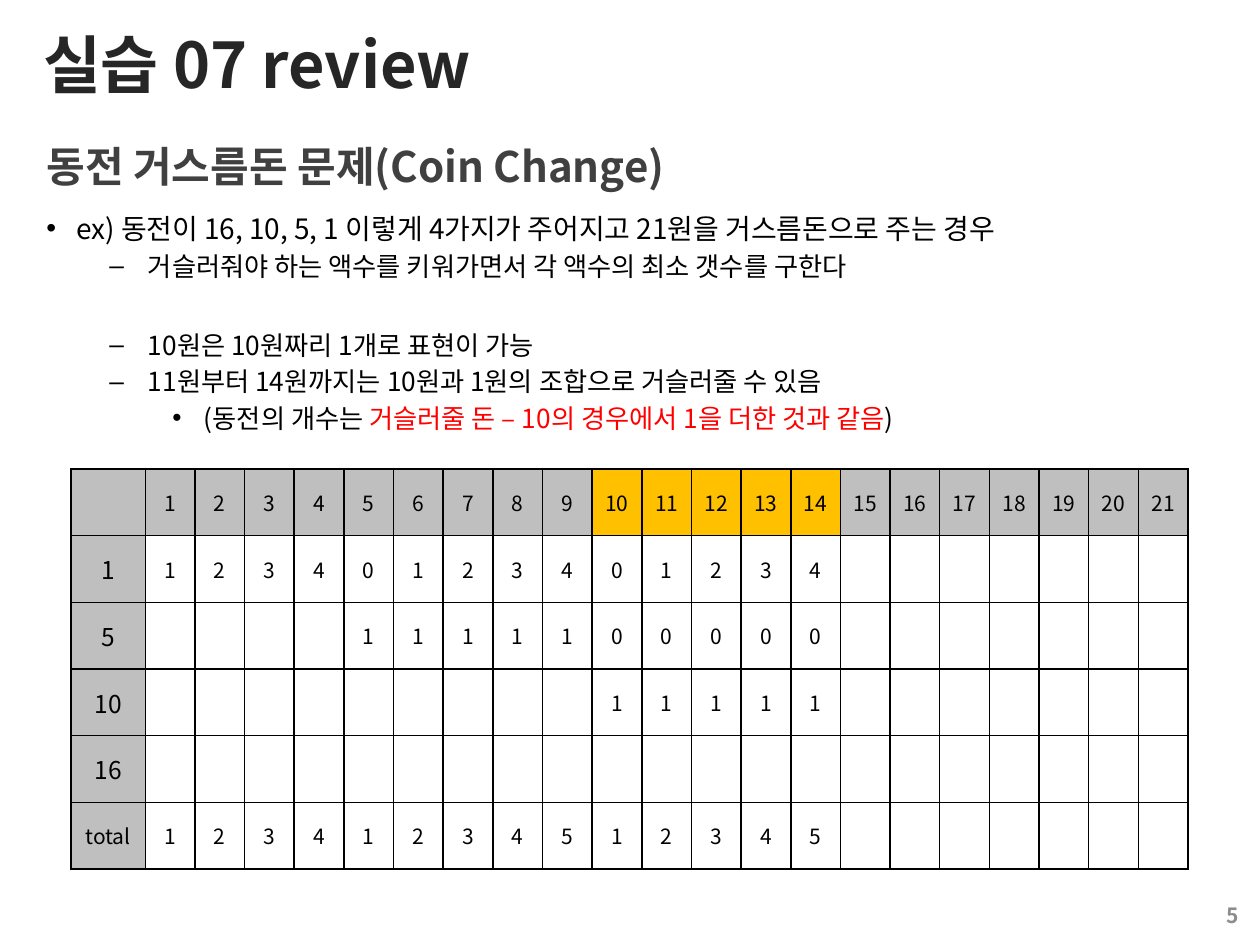
from lxml import etree
from pptx import Presentation
from pptx.dml.color import RGBColor
from pptx.enum.text import MSO_ANCHOR, PP_ALIGN
from pptx.oxml.ns import qn
from pptx.util import Pt

MIDDLE = MSO_ANCHOR.MIDDLE
TOP = MSO_ANCHOR.TOP
LEFT = PP_ALIGN.LEFT
CENTER = PP_ALIGN.CENTER
RIGHT = PP_ALIGN.RIGHT
BLANK_LAYOUT = 6
FONT = "Noto Sans CJK KR"
COLORS = {
    "title": "262626",
    "subtitle": "404040",
    "text": "000000",
    "accent": "FF0000",
    "number": "8C8C8C",
    "header": "BFBFBF",
    "current": "FFC000",
    "cell": "FFFFFF",
    "border": "000000",
}
LEVELS = [
    {"bullet": "•", "left": 17, "hanging": 17, "size": 16},
    {"bullet": "–", "left": 58, "hanging": 22, "size": 15},
    {"bullet": "•", "left": 90, "hanging": 18, "size": 15},
]
BULLETS = [
    (0, 0, [("ex) 동전이 16, 10, 5, 1 이렇게 4가지가 주어지고 21원을 거스름돈으로 주는 경우", "text")]),
    (1, 3, [("거슬러줘야 하는 액수를 키워가면서 각 액수의 최소 갯수를 구한다", "text")]),
    (1, 27, [("10원은 10원짜리 1개로 표현이 가능", "text")]),
    (1, 3, [("11원부터 14원까지는 10원과 1원의 조합으로 거슬러줄 수 있음", "text")]),
    (2, 3, [
        ("(동전의 개수는 ", "text"),
        ("거슬러줄 돈 – 10의 경우에서 1을 더한 것과 같음", "accent"),
        (")", "text"),
    ]),
]
AMOUNTS = range(1, 22)
SOLVED = 14
CURRENT = range(10, 15)
COINS = [1, 5, 10, 16]


def format_run(run, size, color, bold=False):
    run.font.size = Pt(size)
    run.font.name = FONT
    run.font.bold = bold
    run.font.color.rgb = RGBColor.from_string(COLORS[color])
    east_asian = etree.SubElement(run.font._element, qn("a:ea"))
    east_asian.set("typeface", FONT)


def add_text_frame(slide, left, top, width, height, anchor):
    shape = slide.shapes.add_textbox(Pt(left), Pt(top), Pt(width), Pt(height))
    text_frame = shape.text_frame
    text_frame.word_wrap = True
    text_frame.vertical_anchor = anchor
    return text_frame


def add_bold_line(slide, text, bounds, size, color, alignment=LEFT):
    text_frame = add_text_frame(slide, *bounds, MIDDLE)
    text_frame.text = text
    paragraph = text_frame.paragraphs[0]
    paragraph.alignment = alignment
    format_run(paragraph.runs[0], size, color, bold=True)


def set_bullet(paragraph, level):
    style = LEVELS[level]
    paragraph.level = level
    properties = paragraph._p.get_or_add_pPr()
    properties.set("marL", str(Pt(style["left"])))
    properties.set("indent", str(-Pt(style["hanging"])))
    etree.SubElement(properties, qn("a:buFont")).set("typeface", "Arial")
    etree.SubElement(properties, qn("a:buChar")).set("char", style["bullet"])


def add_bullets(slide, bounds):
    text_frame = add_text_frame(slide, *bounds, TOP)
    for index, (level, space_before, parts) in enumerate(BULLETS):
        paragraph = text_frame.add_paragraph() if index else text_frame.paragraphs[0]
        set_bullet(paragraph, level)
        paragraph.line_spacing = 0.83
        paragraph.space_before = Pt(space_before)
        paragraph.space_after = Pt(3)
        for text, color in parts:
            run = paragraph.add_run()
            run.text = text
            format_run(run, LEVELS[level]["size"], color)


def coin_counts(amount):
    counts = []
    for coin in reversed(COINS):
        counts.insert(0, amount // coin)
        amount %= coin
    return counts


def table_columns():
    columns = [["", *map(str, COINS), "total"]]
    for amount in AMOUNTS:
        column = [str(amount)] + [""] * (len(COINS) + 1)
        if amount <= SOLVED:
            counts = coin_counts(amount)
            for row, (coin, count) in enumerate(zip(COINS, counts), start=1):
                if coin <= amount:
                    column[row] = str(count)
            column[-1] = str(sum(counts))
        columns.append(column)
    return columns


def set_borders(cell):
    properties = cell._tc.get_or_add_tcPr()
    for side in ("lnL", "lnR", "lnT", "lnB"):
        line = etree.SubElement(properties, qn(f"a:{side}"), w=str(Pt(1)))
        fill = etree.SubElement(line, qn("a:solidFill"))
        etree.SubElement(fill, qn("a:srgbClr"), val=COLORS["border"])


def fill_cell(cell, text, size, color):
    set_borders(cell)
    cell.fill.solid()
    cell.fill.fore_color.rgb = RGBColor.from_string(COLORS[color])
    cell.margin_left = cell.margin_right = Pt(2)
    cell.vertical_anchor = MIDDLE
    if text:
        cell.text_frame.text = text
        paragraph = cell.text_frame.paragraphs[0]
        paragraph.alignment = CENTER
        format_run(paragraph.runs[0], size, "text")


def cell_color(row, column):
    if row == 0 and column in CURRENT:
        return "current"
    return "header" if row == 0 or column == 0 else "cell"


def add_coin_table(slide, left, top, label_width, amount_width, row_height):
    columns = table_columns()
    row_count = len(columns[0])
    width = label_width + amount_width * len(AMOUNTS)
    table = slide.shapes.add_table(
        row_count, len(columns), Pt(left), Pt(top), Pt(width), Pt(row_height * row_count)
    ).table
    for row in table.rows:
        row.height = Pt(row_height)
    for column, texts in enumerate(columns):
        table.columns[column].width = Pt(amount_width if column else label_width)
        for row, text in enumerate(texts):
            is_coin = column == 0 and row <= len(COINS)
            size = 14 if is_coin else 12
            fill_cell(table.cell(row, column), text, size, cell_color(row, column))


def main():
    presentation = Presentation()
    presentation.slide_width = Pt(720)
    presentation.slide_height = Pt(540)
    slide = presentation.slides.add_slide(presentation.slide_layouts[BLANK_LAYOUT])
    add_bold_line(slide, "실습 07 review", (17.5, 1, 685, 70), 36, "title")
    add_bold_line(slide, "동전 거스름돈 문제(Coin Change)", (19.5, 77, 681, 36), 24, "subtitle")
    add_bullets(slide, (19.5, 120.5, 681, 395))
    add_bold_line(slide, "5", (547, 508.5, 168, 29), 12, "number", RIGHT)
    add_coin_table(slide, 40.5, 268, 42.5, 28.38, 38.1)
    presentation.save("out.pptx")


if __name__ == "__main__":
    main()
